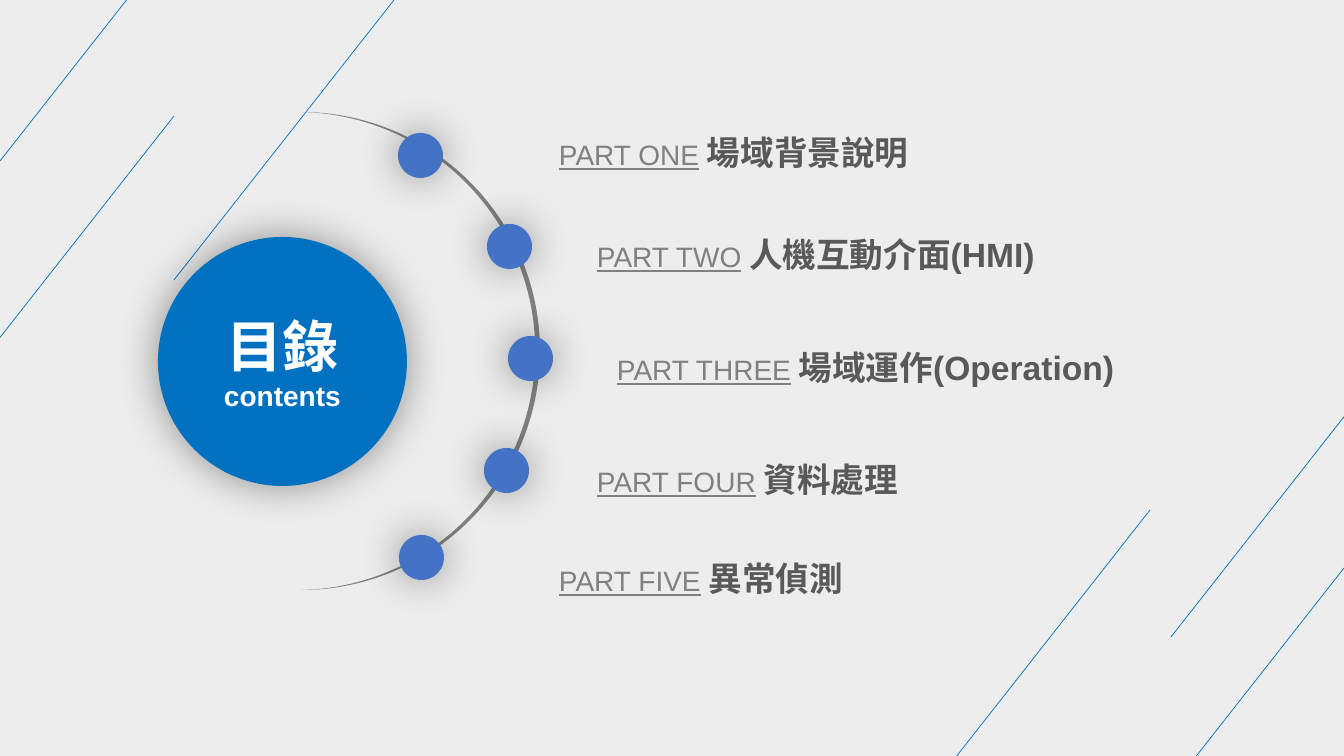
from lxml import etree
from pptx import Presentation
from pptx.dml.color import RGBColor
from pptx.enum import shapes, text
from pptx.oxml import ns
from pptx.util import Emu, Pt

PX = 12192000 / 1344  # EMU in one px
FONT = "Arial"
BACKDROP, BLUE, DOT_BLUE = "EDEDED", "0070C0", "4472C4"
GRAY, DARK, WHITE = "808080", "595959", "FFFFFF"

HEADINGS = [("目錄", 40), ("contents", 20)]
# label, topic, text left, text top, text width, dot left, dot top
PARTS = [
    ("PART ONE", "場域背景說明", 549, 107, 484, 398, 133),
    ("PART TWO", "人機互動介面(HMI)", 587, 209, 484, 487, 224),
    ("PART THREE", "場域運作(Operation)", 607, 322, 579, 508, 336),
    ("PART FOUR", "資料處理", 587, 434, 484, 484, 448),
    ("PART FIVE", "異常偵測", 549, 533, 484, 399, 535),
]
PART_HEIGHT, DOT_SIZE = 64, 45
HUB = (158, 237, 249, 249)
ARC = (301, 112, 239, 478)
# Lower left end of each slanted line
STRIPES = [(930, 790), (1171, 637), (-46, 396), (174, 280), (1150, 815), (0, 161)]
STRIPE_RUN, STRIPE_RISE = 220, 280


def px(*lengths):
    return [Emu(round(length * PX)) for length in lengths]


def rgb(color):
    return RGBColor.from_string(color)


def add_effects(shape):
    return etree.SubElement(shape._element.spPr, ns.qn("a:effectLst"))


def add_filled(preset, box, color):
    shape = slide.shapes.add_shape(preset, *px(*box))
    shape.fill.solid()
    shape.fill.fore_color.rgb = rgb(color)
    shape.line.fill.background()
    return shape


def add_disc(box, color):
    """Add a filled circle with a soft halo around it."""
    disc = add_filled(shapes.MSO_SHAPE.OVAL, box, color)
    halo = etree.SubElement(add_effects(disc), ns.qn("a:outerShdw"),
                            blurRad=str(Pt(30)), dist="0", dir="0",
                            algn="ctr", rotWithShape="0")
    black = etree.SubElement(halo, ns.qn("a:srgbClr"), val="000000")
    etree.SubElement(black, ns.qn("a:alpha"), val="40000")
    return disc


def style(font, size, color, bold=False):
    font.name, font.size, font.bold = FONT, Pt(size), bold
    font.color.rgb = rgb(color)


def add_stripe(x, y):
    stripe = slide.shapes.add_connector(
        shapes.MSO_CONNECTOR.STRAIGHT,
        *px(x, y, x + STRIPE_RUN, y - STRIPE_RISE))
    stripe.line.color.rgb = rgb(BLUE)
    stripe.line.width = Pt(0.5)
    add_effects(stripe)


def add_part(label, topic, left, top, width):
    frame = slide.shapes.add_textbox(*px(left, top, width, PART_HEIGHT)).text_frame
    frame.word_wrap = True
    paragraph = frame.paragraphs[0]
    paragraph.line_spacing = 1.5
    for words, size, color, is_topic in [(label, 20, GRAY, False),
                                         (" ", 20, GRAY, False),
                                         (topic, 24, DARK, True)]:
        run = paragraph.add_run()
        run.text = words
        style(run.font, size, color, is_topic)
        run.font.underline = words == label


def add_hub():
    frame = add_disc(HUB, BLUE).text_frame
    frame.vertical_anchor = text.MSO_ANCHOR.MIDDLE
    frame.text = "\n".join(words for words, _ in HEADINGS)
    for paragraph, (_, size) in zip(frame.paragraphs, HEADINGS):
        paragraph.alignment = text.PP_ALIGN.CENTER
        style(paragraph.font, size, WHITE, True)


def add_arc():
    arc = add_filled(shapes.MSO_SHAPE.MOON, ARC, GRAY)
    arc.shadow.inherit = False
    arc.adjustments[0] = 0.02
    arc.rotation = 180


deck = Presentation()
deck.slide_width, deck.slide_height = px(1344, 756)
slide = deck.slides.add_slide(deck.slide_layouts[6])
slide.background.fill.solid()
slide.background.fill.fore_color.rgb = rgb(BACKDROP)

for start in STRIPES:
    add_stripe(*start)
for part in PARTS:
    add_part(*part[:5])
add_hub()
add_arc()
for *_, dot_left, dot_top in PARTS:
    add_disc((dot_left, dot_top, DOT_SIZE, DOT_SIZE), DOT_BLUE)

deck.save("out.pptx")
